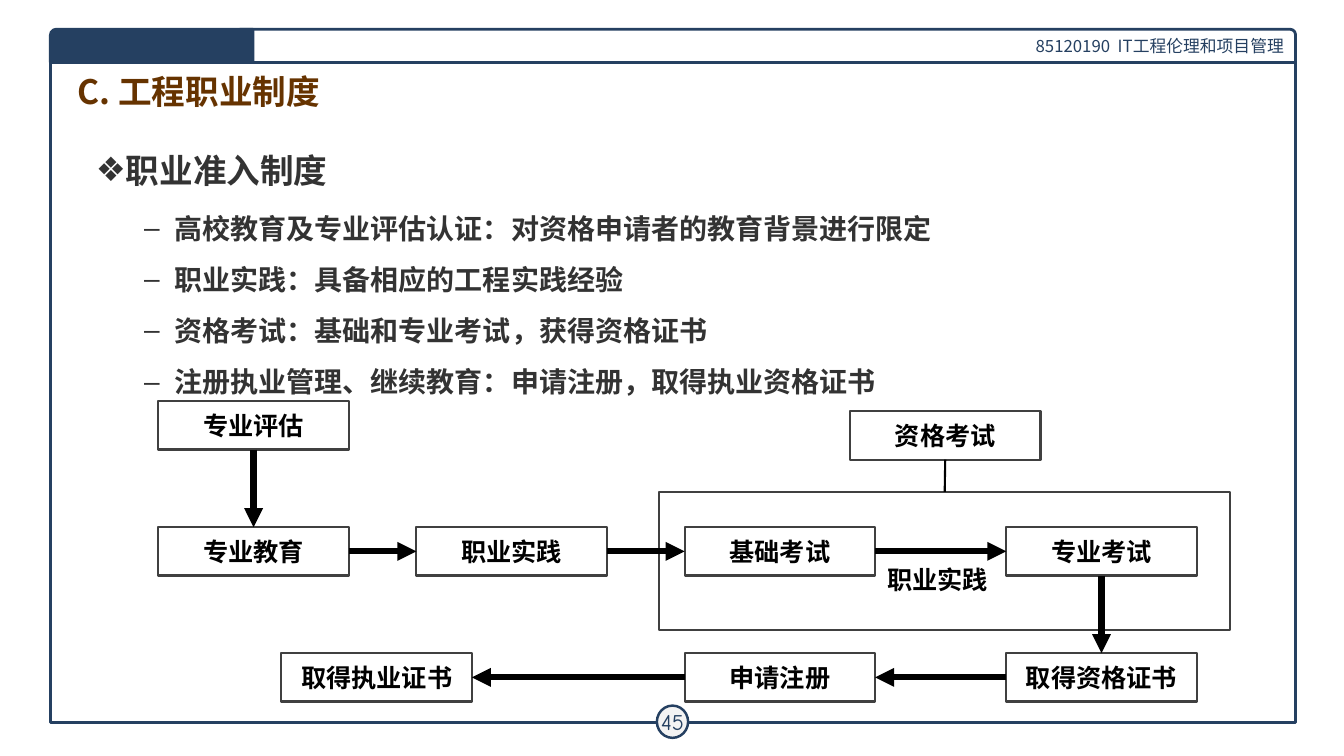
import pptx
import pptx.util
import pptx.dml.color
import pptx.enum.lang
import pptx.enum.shapes
import pptx.enum.text
import pptx.oxml
from dataclasses import dataclass

Inches, Pt = pptx.util.Inches, pptx.util.Pt
SHAPE = pptx.enum.shapes.MSO_SHAPE
ALIGN = pptx.enum.text.PP_ALIGN
ANCHOR = pptx.enum.text.MSO_ANCHOR
AUTO = pptx.enum.text.MSO_AUTO_SIZE
BOTTOM, LEFT, RIGHT, TOP = 2, 1, 3, 0


@dataclass(frozen=True)
class Theme:
    navy: str = "254061"
    brown: str = "663300"
    text: str = "333333"
    border: str = "404040"
    black: str = "000000"
    white: str = "FFFFFF"
    badge: str = "F3F3F3"
    sans: str = "Noto Sans CJK SC"
    serif: str = "Cambria"
    flow: str = "Calibri"
    number: str = "Comic Neue"
    heading: int = 24
    item: int = 20
    label: int = 18
    page: int = 16
    header: int = 12


THEME = Theme()


def rgb(value):
    return pptx.dml.color.RGBColor.from_string(value)


def style(p, size, name, color, bold=False):
    for r in p.runs:
        r.font.size, r.font.name, r.font.bold = Pt(size), name, bold
        r.font.color.rgb = rgb(color)
        r.font.language_id = pptx.enum.lang.MSO_LANGUAGE_ID.SIMPLIFIED_CHINESE


def add_box(s, kind, x, y, w, h, fill, line, width):
    sp = s.shapes.add_shape(kind, Inches(x), Inches(y), Inches(w), Inches(h))
    sp.shadow.inherit = False
    if fill:
        sp.fill.solid()
        sp.fill.fore_color.rgb = rgb(fill)
    else:
        sp.fill.background()
    sp.line.color.rgb = rgb(line)
    sp.line.width = Pt(width)
    return sp


def write(sp, text, align, *font):
    tf = sp.text_frame
    tf.text = text
    tf.vertical_anchor = ANCHOR.MIDDLE
    p = tf.paragraphs[0]
    p.alignment = align
    style(p, *font)
    return tf


def place(sp, x, y, w, h):
    sp.left, sp.top, sp.width, sp.height = (Inches(v) for v in (x, y, w, h))
    sp.text_frame.word_wrap = True
    sp.text_frame.auto_size = AUTO.NONE


def add_bullet(p, char, left, hanging):
    pPr = p._p.get_or_add_pPr()
    pPr.set("marL", str(Inches(left)))
    pPr.set("indent", str(-Inches(hanging)))
    bullet = pptx.oxml.parse_xml(
        '<a:buChar xmlns:a="http://schemas.openxmlformats.org/drawingml/2006/main"'
        f' char="{char}"/>')
    pPr.append(bullet)


def add_line(s, begin, begin_site, end, end_site, width, arrow=True):
    c = s.shapes.add_connector(pptx.enum.shapes.MSO_CONNECTOR.STRAIGHT, 0, 0, 0, 0)
    c.begin_connect(begin, begin_site)
    c.end_connect(end, end_site)
    c.line.color.rgb = rgb(THEME.black)
    c.line.width = Pt(width)
    ns = 'xmlns:a="http://schemas.openxmlformats.org/drawingml/2006/main"'
    if arrow:
        c.line._get_or_add_ln().append(
            pptx.oxml.parse_xml(f'<a:tailEnd {ns} type="triangle"/>'))
    c._element.spPr.append(pptx.oxml.parse_xml(f"<a:effectLst {ns}/>"))


# Page frame with header band and page number
def add_page_frame(s, x, y, w, h):
    t = THEME
    band, tab = 0.33, 2.01
    add_box(s, SHAPE.RECTANGLE, x, y + 0.21, w, h - 0.21, None, t.navy, 2)
    header = add_box(s, SHAPE.ROUND_1_RECTANGLE, x + 1.88, y, w - 1.88, band,
                     t.white, t.navy, 2)
    write(header, "85120190  IT工程伦理和项目管理", ALIGN.RIGHT, t.header, t.sans, t.navy)
    badge = add_box(s, SHAPE.OVAL, x + w / 2 - 0.16, y + h - 0.17, 0.31, 0.32,
                    t.badge, t.navy, 1.75)
    tf = write(badge, "45", ALIGN.CENTER, t.page, t.number, t.navy)
    tf.word_wrap = False
    tf.margin_left = tf.margin_right = tf.margin_top = tf.margin_bottom = Inches(0.04)
    corner = add_box(s, SHAPE.ROUND_1_RECTANGLE, x, y, tab, band, t.navy, t.navy, 2)
    corner.adjustments[0] = 0.175
    corner._element.spPr.xfrm.set("flipH", "1")


# Slide title
def add_title(s, x, y, w, h):
    sp = s.shapes.title
    place(sp, x, y, w, h)
    write(sp, "C. 工程职业制度", ALIGN.LEFT, THEME.heading, THEME.sans, THEME.brown, True)


# Heading and list
def add_list(s, x, y, w, h):
    sp = s.placeholders[1]
    place(sp, x, y, w, h)
    tf = sp.text_frame
    tf.vertical_anchor = ANCHOR.TOP
    lines = ["职业准入制度",
             "高校教育及专业评估认证：对资格申请者的教育背景进行限定",
             "职业实践：具备相应的工程实践经验",
             "资格考试：基础和专业考试，获得资格证书",
             "注册执业管理、继续教育：申请注册，取得执业资格证书"]
    tf.text = "\n".join(lines)
    for i, p in enumerate(tf.paragraphs):
        p.line_spacing = 1.5
        if i == 0:
            p.space_before, p.space_after = Pt(0), Pt(2.4)
            add_bullet(p, "❖", 0.29, 0.29)
        else:
            p.level = 1
            p.space_before, p.space_after = Pt(0.4), Pt(0.1)
            add_bullet(p, "–", 0.78, 0.3)
        style(p, THEME.item if i else THEME.heading, THEME.serif, THEME.text, True)


# Flow chart of the licensing steps
def add_flow(s, x, y):
    t = THEME
    box_w, box_h = 1.89, 0.48
    middle, bottom = 1.25, 2.5
    font = (t.label, t.flow, t.black, True)
    steps = {
        "专业评估": (0, 0),
        "专业教育": (0, middle),
        "职业实践": (2.56, middle),
        "基础考试": (5.22, middle),
        "专业考试": (8.41, middle),
        "取得资格证书": (8.41, bottom),
        "申请注册": (5.22, bottom),
        "取得执业证书": (1.22, bottom),
        "资格考试": (6.86, 0.1),
    }
    boxes = {}
    for name, (dx, dy) in steps.items():
        boxes[name] = add_box(s, SHAPE.RECTANGLE, x + dx, y + dy, box_w, box_h,
                              t.white, t.border, 1.5)
        write(boxes[name], name, ALIGN.CENTER, *font)
    exams = add_box(s, SHAPE.RECTANGLE, x + 4.97, y + 0.9, 5.66, 1.37,
                    None, t.border, 1.5)

    arrows = [("专业评估", BOTTOM, "专业教育", TOP),
              ("专业教育", RIGHT, "职业实践", LEFT),
              ("职业实践", RIGHT, "基础考试", LEFT),
              ("基础考试", RIGHT, "专业考试", LEFT),
              ("专业考试", BOTTOM, "取得资格证书", TOP),
              ("取得资格证书", LEFT, "申请注册", RIGHT),
              ("申请注册", LEFT, "取得执业证书", RIGHT)]
    for begin, begin_site, end, end_site in arrows:
        add_line(s, boxes[begin], begin_site, boxes[end], end_site, 4.5)
    add_line(s, boxes["资格考试"], BOTTOM, exams, TOP, 1.5, arrow=False)

    note = s.shapes.add_textbox(Inches(x + 7.12), Inches(y + 1.57),
                                Inches(1.22), Inches(0.4))
    tf = write(note, "职业实践", ALIGN.CENTER, *font)
    tf.vertical_anchor = ANCHOR.TOP
    tf.word_wrap = False


def main():
    prs = pptx.Presentation()
    prs.slide_width, prs.slide_height = Inches(13.33), Inches(7.5)
    s = prs.slides.add_slide(prs.slide_layouts[1])
    add_page_frame(s, 0.5, 0.29, 12.35, 6.88)
    add_title(s, 0.67, 0.66, 12, 0.48)
    add_list(s, 0.85, 1.24, 11.63, 6.01)
    add_flow(s, 1.57, 3.98)
    prs.save("out.pptx")


if __name__ == "__main__":
    main()
